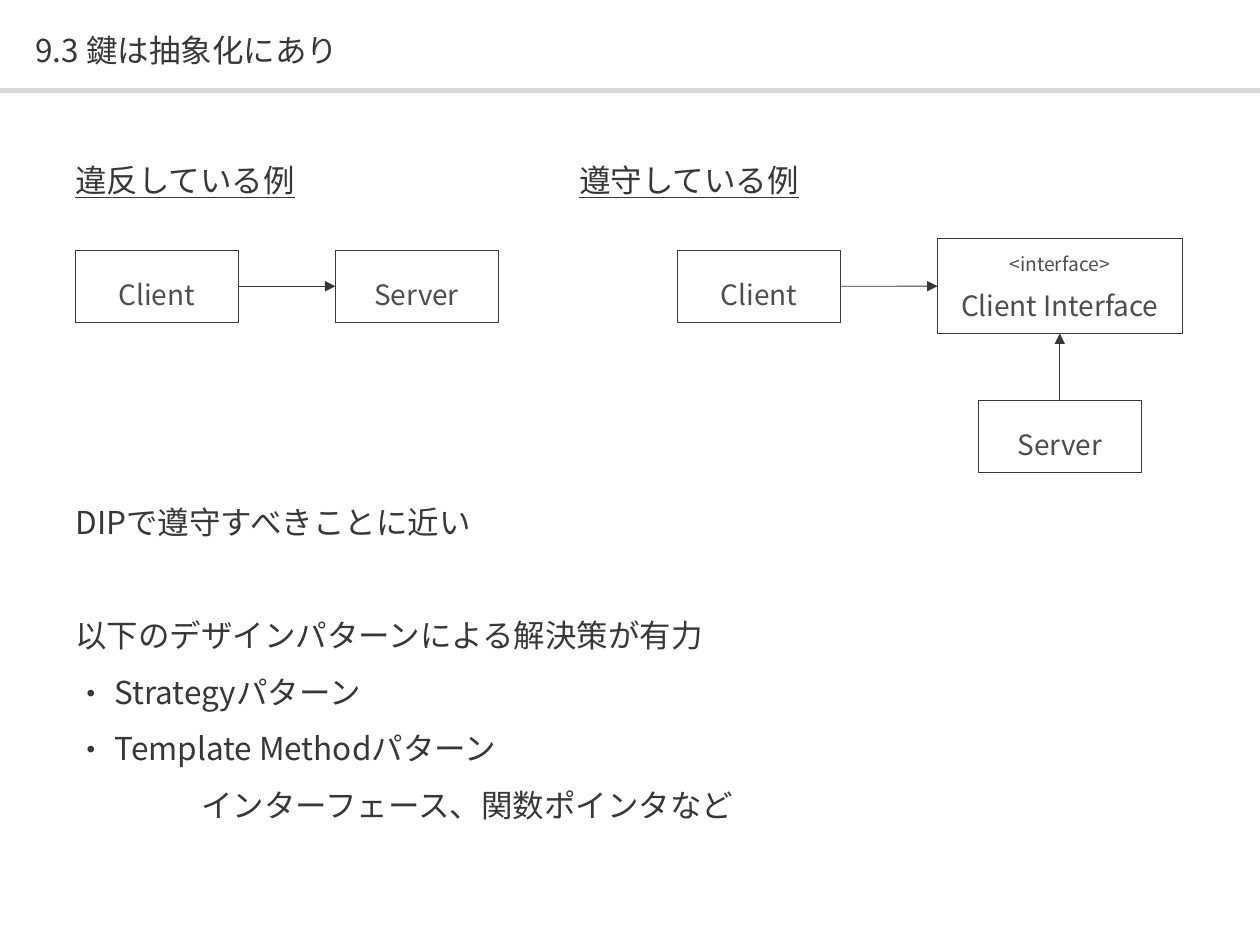
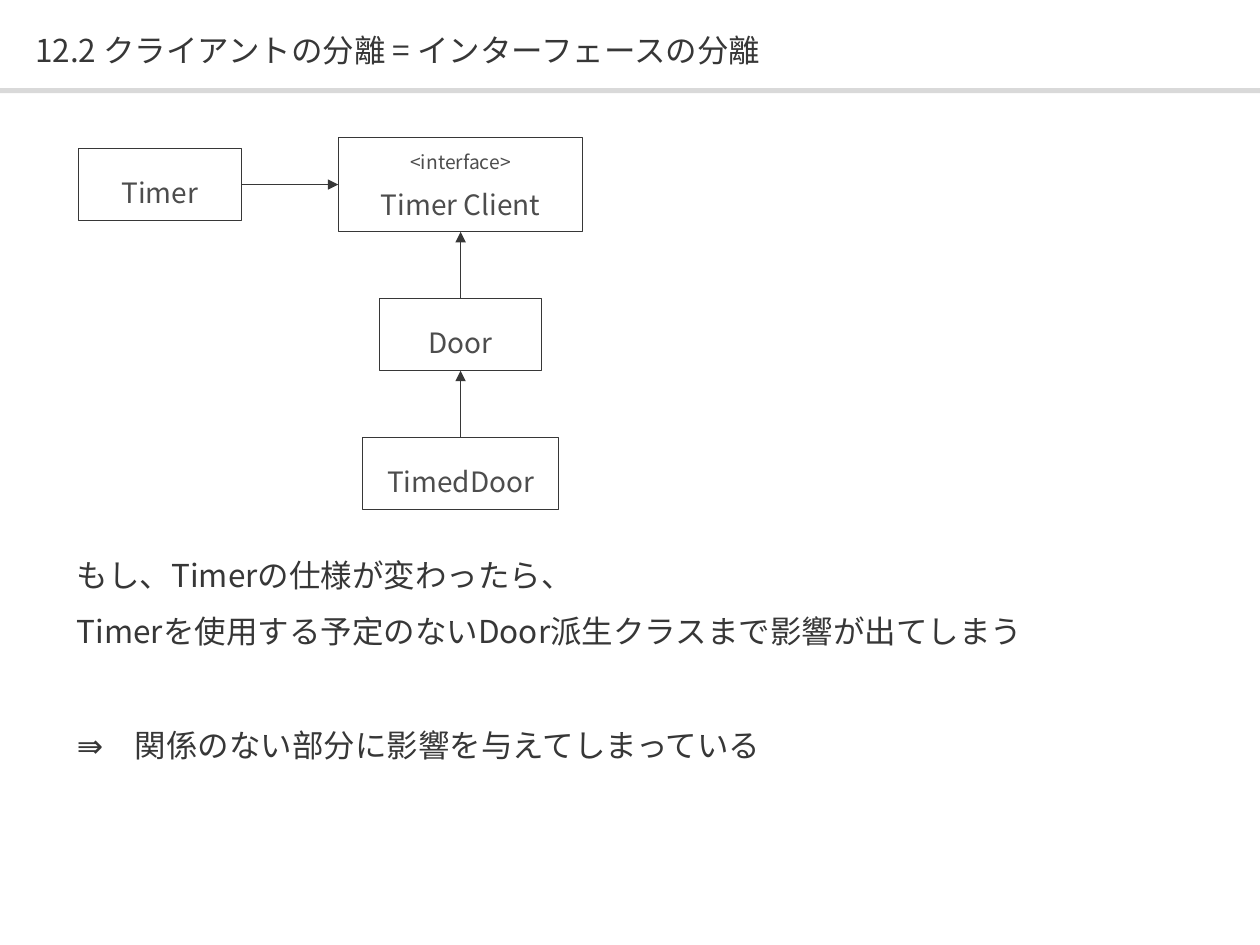
from dataclasses import dataclass

from lxml import etree
from pptx import Presentation
from pptx.dml.color import RGBColor
from pptx.enum.shapes import MSO_CONNECTOR, MSO_SHAPE
from pptx.enum.text import MSO_ANCHOR, MSO_AUTO_SIZE, PP_ALIGN
from pptx.oxml.ns import qn
from pptx.util import Cm, Pt

RECTANGLE = MSO_SHAPE.RECTANGLE
STRAIGHT = MSO_CONNECTOR.STRAIGHT
TOP, MIDDLE = MSO_ANCHOR.TOP, MSO_ANCHOR.MIDDLE
FIXED, GROW = MSO_AUTO_SIZE.NONE, MSO_AUTO_SIZE.SHAPE_TO_FIT_TEXT
LEFT, CENTER, JUSTIFY = PP_ALIGN.LEFT, PP_ALIGN.CENTER, PP_ALIGN.JUSTIFY
SITE_TOP, SITE_LEFT, SITE_BOTTOM, SITE_RIGHT = range(4)


@dataclass(frozen=True)
class Theme:
    font: str = "Noto Sans CJK JP"
    ink: RGBColor = RGBColor(0x37, 0x37, 0x37)
    label: RGBColor = RGBColor(0x4D, 0x4D, 0x4D)
    band: RGBColor = RGBColor(0xD9, 0xD9, 0xD9)
    paper: RGBColor = RGBColor(0xFF, 0xFF, 0xFF)
    text_size: int = 18
    label_size: int = 16
    stereotype_size: int = 11
    rule: float = 0.5


THEME = Theme()
SLIDE_WIDTH, SLIDE_HEIGHT = 25.4, 19.05
TITLE_BOX = (0.71, 0.43, 24, 1.09)
BAND_BOX = (0, 1.78, SLIDE_WIDTH, 0.1)
CLASS_WIDTH, CLASS_HEIGHT = 3.28, 1.45
WIDE_CLASS_WIDTH = 3.94
INTERFACE_WIDTH, INTERFACE_HEIGHT = 4.93, 1.91
ARROW_ACROSS, ARROW_UP = 1.96, 1.35
BLANK_LINE = 32.4
BULLET_INDENT = 0.79
NOTE_INDENT = 2.54


def apply(target, values):
    for attribute, value in values.items():
        setattr(target, attribute, value)


def place(part, box):
    apply(part, dict(zip(("left", "top", "width", "height"), map(Cm, box))))


def add_xml(parent, tag, **attributes):
    return etree.SubElement(parent, qn(tag), attributes)


def add_run(paragraph, text, size, color, underline=None):
    run = paragraph.add_run()
    run.text = text
    apply(run.font, {"size": Pt(size), "name": THEME.font, "underline": underline})
    run.font.color.rgb = color
    add_xml(run.font._element, "a:ea", typeface=THEME.font)


def format_frame(frame, anchor, auto_size, margins=(0, 0, 0, 0)):
    sides = ("margin_left", "margin_top", "margin_right", "margin_bottom")
    apply(frame, dict(zip(sides, map(Cm, margins))))
    apply(frame, {"word_wrap": True, "vertical_anchor": anchor, "auto_size": auto_size})


def add_title(slide, text):
    title = slide.shapes.title
    place(title, TITLE_BOX)
    format_frame(title.text_frame, MIDDLE, FIXED)
    paragraph = title.text_frame.paragraphs[0]
    apply(paragraph, {"alignment": LEFT, "line_spacing": 1.1})
    add_run(paragraph, text, THEME.text_size, THEME.ink)


def add_heading(slide, box, text):
    heading = slide.shapes.add_textbox(*map(Cm, box))
    format_frame(heading.text_frame, TOP, FIXED)
    paragraph = heading.text_frame.paragraphs[0]
    apply(paragraph, {"alignment": JUSTIFY, "line_spacing": 1.5})
    add_run(paragraph, text, THEME.text_size, THEME.ink, True)


def add_body(slide, box, lines):
    body = slide.placeholders[1]
    place(body, box)
    frame = body.text_frame
    format_frame(frame, TOP, FIXED)
    for index, line in enumerate(lines):
        paragraph = frame.add_paragraph() if index else frame.paragraphs[0]
        apply(paragraph, {
            "alignment": JUSTIFY,
            "line_spacing": 1.5,
            "space_before": Pt(BLANK_LINE * line.get("blanks", 0)),
            "space_after": Pt(0),
        })
        properties = paragraph._p.get_or_add_pPr()
        bullet = line.get("bullet")
        hanging = BULLET_INDENT if bullet else 0
        properties.set("marL", str(Cm(line.get("indent", hanging))))
        properties.set("indent", str(-Cm(hanging)))
        if bullet:
            add_xml(properties, "a:buFont", typeface=THEME.font)
            add_xml(properties, "a:buChar", char=bullet)
        else:
            add_xml(properties, "a:buNone")
        add_run(paragraph, line["text"], THEME.text_size, THEME.ink)


def add_class(slide, box, name, stereotype=None):
    shape = slide.shapes.add_shape(RECTANGLE, *map(Cm, box))
    shape.shadow.inherit = False
    shape.fill.solid()
    shape.fill.fore_color.rgb = THEME.paper
    shape.line.color.rgb = THEME.ink
    shape.line.width = Pt(THEME.rule)
    frame = shape.text_frame
    format_frame(frame, MIDDLE, GROW, (0.3, 0.3, 0.3, 0.25))
    paragraph = frame.paragraphs[0]
    if stereotype:
        paragraph.alignment = CENTER
        add_run(paragraph, stereotype, THEME.stereotype_size, THEME.label)
        paragraph = frame.add_paragraph()
    apply(paragraph, {"alignment": CENTER, "line_spacing": 1.4, "space_after": Pt(6)})
    add_run(paragraph, name, THEME.label_size, THEME.label)
    return shape


def add_arrow(slide, start, start_site, end, end_site):
    arrow = slide.shapes.add_connector(STRAIGHT, 0, 0, 0, 0)
    arrow.begin_connect(start, start_site)
    arrow.end_connect(end, end_site)
    arrow.line.color.rgb = THEME.ink
    arrow.line.width = Pt(THEME.rule)
    properties = arrow.element.spPr
    add_xml(properties.find(qn("a:ln")), "a:tailEnd", type="triangle")
    add_xml(properties, "a:effectLst")


def add_class_diagram(slide, left, axis, user, used, stereotype=None, derived=()):
    user_box = (left, axis - CLASS_HEIGHT / 2, CLASS_WIDTH, CLASS_HEIGHT)
    user_class = add_class(slide, user_box, user)
    width, height = CLASS_WIDTH, CLASS_HEIGHT
    if stereotype:
        width, height = INTERFACE_WIDTH, INTERFACE_HEIGHT
    used_left, top = left + CLASS_WIDTH + ARROW_ACROSS, axis - height / 2
    parent = add_class(slide, (used_left, top, width, height), used, stereotype)
    add_arrow(slide, user_class, SITE_RIGHT, parent, SITE_LEFT)
    center = used_left + width / 2
    top += height + ARROW_UP
    for name, child_width in derived:
        child_box = (center - child_width / 2, top, child_width, CLASS_HEIGHT)
        child = add_class(slide, child_box, name)
        add_arrow(slide, child, SITE_TOP, parent, SITE_BOTTOM)
        parent = child
        top += CLASS_HEIGHT + ARROW_UP


def add_master_band(presentation, slide):
    band = slide.shapes.add_shape(RECTANGLE, *map(Cm, BAND_BOX))
    band.shadow.inherit = False
    band.fill.solid()
    band.fill.fore_color.rgb = THEME.band
    band.line.fill.background()
    band.element.nvSpPr.cNvPr.set("id", "20")
    presentation.slide_master.shapes.element.append(band.element)


def build_abstraction_slide(slide):
    add_title(slide, "9.3 鍵は抽象化にあり")
    for left, heading in ((1.52, "違反している例"), (11.68, "遵守している例")):
        add_heading(slide, (left, 2.87, 9, 1.14), heading)
    add_class_diagram(slide, 1.52, 5.77, "Client", "Server")
    add_class_diagram(slide, 13.66, 5.77, "Client", "Client Interface",
                      "<interface>", [("Server", CLASS_WIDTH)])
    add_body(slide, (1.52, 9.75, 22.3, 9.3), [
        {"text": "DIPで遵守すべきことに近い"},
        {"text": "以下のデザインパターンによる解決策が有力", "blanks": 1},
        {"text": "Strategyパターン", "bullet": "・"},
        {"text": "Template Methodパターン", "bullet": "・"},
        {"text": "インターフェース、関数ポインタなど", "indent": NOTE_INDENT},
    ])


def build_separation_slide(slide):
    add_title(slide, "12.2 クライアントの分離 = インターフェースの分離")
    add_class_diagram(slide, 1.58, 3.72, "Timer", "Timer Client", "<interface>",
                      [("Door", CLASS_WIDTH), ("TimedDoor", WIDE_CLASS_WIDTH)])
    add_body(slide, (1.55, 10.82, 22.3, 5.56), [
        {"text": "もし、Timerの仕様が変わったら、"},
        {"text": "Timerを使用する予定のないDoor派生クラスまで影響が出てしまう"},
        {"text": "⇛　関係のない部分に影響を与えてしまっている", "blanks": 1},
    ])


def main():
    presentation = Presentation()
    apply(presentation, {"slide_width": Cm(SLIDE_WIDTH), "slide_height": Cm(SLIDE_HEIGHT)})
    layout = presentation.slide_layouts[1]
    for build in (build_abstraction_slide, build_separation_slide):
        build(presentation.slides.add_slide(layout))
    add_master_band(presentation, presentation.slides[0])
    presentation.save("out.pptx")


if __name__ == "__main__":
    main()
